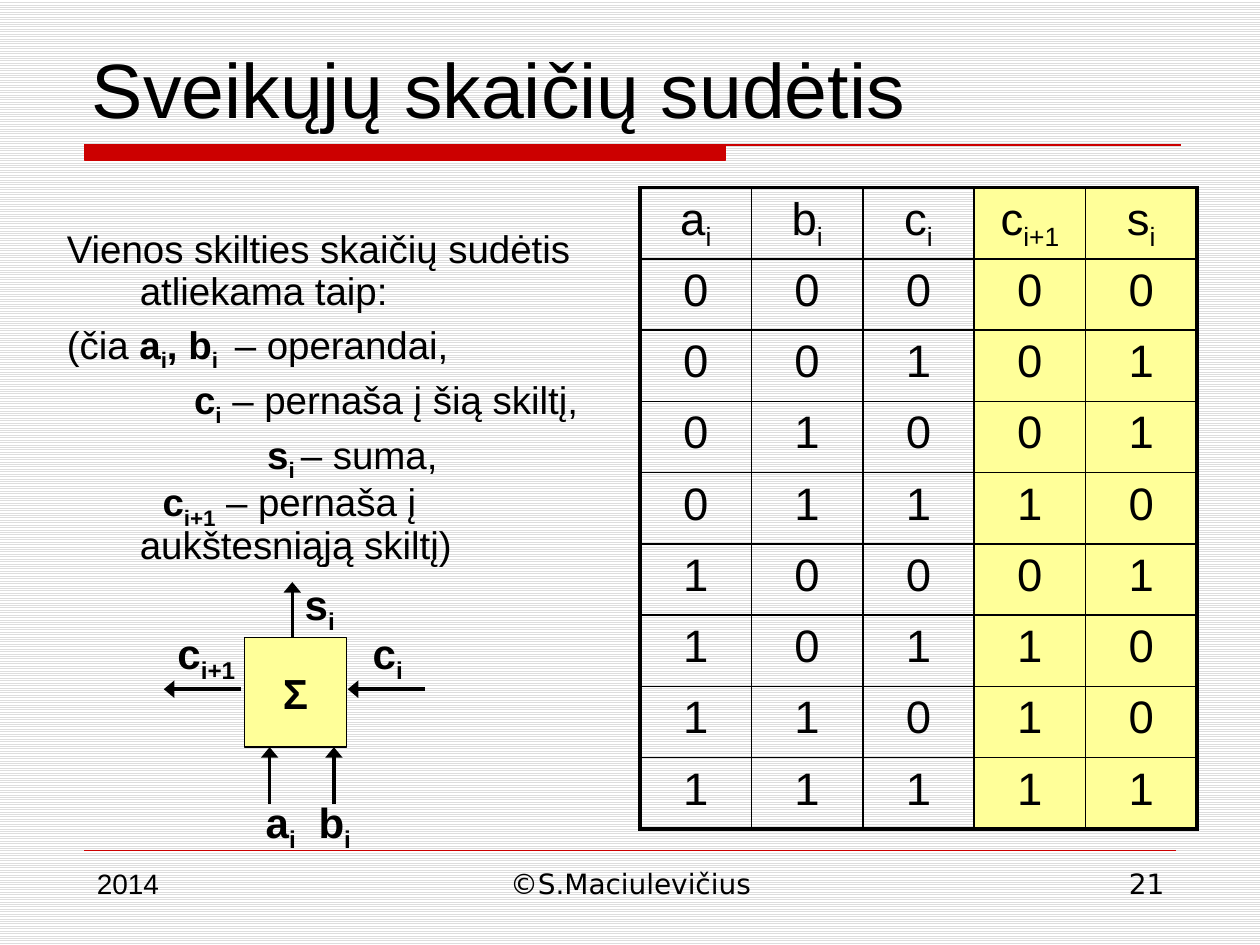
from lxml import etree
from pptx import Presentation
from pptx.dml.color import RGBColor
from pptx.enum.dml import MSO_PATTERN
from pptx.enum.shapes import MSO_CONNECTOR, MSO_SHAPE
from pptx.enum.text import MSO_ANCHOR, MSO_AUTO_SIZE, PP_ALIGN
from pptx.oxml.ns import qn
from pptx.util import Inches, Pt

STRAIGHT = MSO_CONNECTOR.STRAIGHT
RECTANGLE = MSO_SHAPE.RECTANGLE
LIGHT_HORIZONTAL = MSO_PATTERN.LIGHT_HORIZONTAL
NO_AUTOFIT = MSO_AUTO_SIZE.NONE
LEFT, CENTER, RIGHT = PP_ALIGN.LEFT, PP_ALIGN.CENTER, PP_ALIGN.RIGHT
TOP, MIDDLE = MSO_ANCHOR.TOP, MSO_ANCHOR.MIDDLE
BLACK, RED, YELLOW = "000000", "CC0000", "FFFF99"


def color(value):
    return RGBColor.from_string(value)


def write(paragraph, text, size, font="Arial", bold_mark="*", subscript_mark="|"):
    for bold_index, bold_part in enumerate(text.split(bold_mark)):
        for part_index, part in enumerate(bold_part.split(subscript_mark)):
            if not part:
                continue
            run = paragraph.add_run()
            run.text = part
            run.font.name = font
            run.font.size = Pt(size)
            run.font.bold = bold_index % 2 == 1
            run.font.color.rgb = color(BLACK)
            if part_index % 2:
                run.font._element.set("baseline", "-25000")


presentation = Presentation()
presentation.slide_width = Inches(10)
presentation.slide_height = Inches(7.5)
slide = presentation.slides.add_slide(presentation.slide_layouts[1])
shapes = slide.shapes

background = slide.background.fill
background.patterned()
background.pattern = LIGHT_HORIZONTAL
background.fore_color.rgb = color("DDDDDD")
background.back_color.rgb = color("FFFFFF")

builder = shapes.build_freeform(Inches(0.67), Inches(1.15))
bar_corners = [(5.76, 1.15), (5.76, 1.27), (0.67, 1.27)]
builder.add_line_segments([(Inches(x), Inches(y)) for x, y in bar_corners])
builder.move_to(Inches(0.67), Inches(1.15))
builder.add_line_segments([(Inches(9.37), Inches(1.15))], close=False)
title_rule = builder.convert_to_shape()
title_rule.shadow.inherit = False
title_rule.fill.solid()
title_rule.fill.fore_color.rgb = color(RED)
title_rule.line.color.rgb = color(RED)
title_rule.line.width = Pt(0.75)

title = shapes.title
title.left, title.top = Inches(0.63), Inches(0.33)
title.width, title.height = Inches(8.75), Inches(0.82)
title.text_frame.auto_size = NO_AUTOFIT
title.text_frame.vertical_anchor = MIDDLE
title_paragraph = title.text_frame.paragraphs[0]
title_paragraph.alignment = LEFT
title_paragraph.line_spacing = 0.93
write(title_paragraph, "Sveikųjų skaičių sudėtis", 44)

body = slide.placeholders[1]
body.left, body.top = Inches(0.43), Inches(1.78)
body.width, body.height = Inches(4.4), Inches(2.76)
body.text_frame.auto_size = NO_AUTOFIT
body.text_frame.vertical_anchor = TOP
body_lines = [
    ("Vienos skilties skaičių sudėtis atliekama taip:", 0.58, -0.58, 4.4),
    ("(čia *a|i|, b|i |* – operandai,", 0.58, -0.58, 4.4),
    ("*c|i|* – pernaša į šią skiltį,", 1.01, 0, 4.4),
    ("*s|i |*– suma,", 1.59, 0, 4.4),
    ("*c|i+1|* – pernaša į aukštesniąją skiltį)", 0.58, 0.18, 0),
]
for index, (text, margin, indent, space) in enumerate(body_lines):
    frame = body.text_frame
    paragraph = frame.add_paragraph() if index else frame.paragraphs[0]
    paragraph.line_spacing = 0.9
    paragraph.space_before = Pt(space)
    properties = paragraph._p.get_or_add_pPr()
    properties.set("marL", str(Inches(margin)))
    properties.set("indent", str(Inches(indent)))
    etree.SubElement(properties, qn("a:buNone"))
    write(paragraph, text, 22)

truth_rows = [["a|i", "b|i", "c|i", "c|i+1", "s|i"]]
for number in range(8):
    a, b, c = number >> 2, number >> 1 & 1, number & 1
    carry, total = divmod(a + b + c, 2)
    truth_rows.append([str(bit) for bit in (a, b, c, carry, total)])
last_row, last_column = len(truth_rows) - 1, len(truth_rows[0]) - 1
table_frame = shapes.add_table(last_row + 1, last_column + 1, Inches(5.08),
                               Inches(1.49), Inches(4.42), Inches(5.09))
table = table_frame.table
table.first_row = table.horz_banding = False
for row_index, row in enumerate(truth_rows):
    for column_index, text in enumerate(row):
        cell = table.cell(row_index, column_index)
        paragraph = cell.text_frame.paragraphs[0]
        paragraph.alignment = CENTER
        paragraph.space_before = Pt(5.2)
        write(paragraph, text, 26)
        outer_sides = {
            "a:lnL": column_index == 0,
            "a:lnR": column_index == last_column,
            "a:lnT": row_index == 0,
            "a:lnB": row_index == last_row,
        }
        for tag, outer in outer_sides.items():
            border = etree.SubElement(cell._tc.get_or_add_tcPr(), qn(tag),
                                      w=str(Pt(2.25 if outer else 1)))
            border_fill = etree.SubElement(border, qn("a:solidFill"))
            etree.SubElement(border_fill, qn("a:srgbClr"), val=BLACK)
        if column_index >= 3:
            cell.fill.solid()
            cell.fill.fore_color.rgb = color(YELLOW)
        else:
            cell.fill.background()

adder = shapes.add_shape(RECTANGLE, Inches(1.94), Inches(5.06),
                         Inches(0.81), Inches(0.87))
adder.shadow.inherit = False
adder.fill.solid()
adder.fill.fore_color.rgb = color(YELLOW)
adder.line.color.rgb = color(BLACK)
adder.line.width = Pt(1)
adder.text_frame.word_wrap = False
adder.text_frame.vertical_anchor = MIDDLE
adder.text_frame.paragraphs[0].alignment = CENTER
write(adder.text_frame.paragraphs[0], "*Σ*", 24)

lines = [
    (0.67, 6.75, 9.33, 6.75, RED, 0.25, False),
    (2.14, 6.38, 2.14, 5.93, BLACK, 2, True),
    (2.65, 6.38, 2.65, 5.93, BLACK, 2, True),
    (3.37, 5.47, 2.76, 5.47, BLACK, 2, True),
    (1.91, 5.47, 1.3, 5.47, BLACK, 2, True),
    (2.32, 5.06, 2.32, 4.62, BLACK, 2, True),
]
for x1, y1, x2, y2, line_color, width, arrow in lines:
    connector = shapes.add_connector(STRAIGHT, Inches(x1), Inches(y1),
                                     Inches(x2), Inches(y2))
    connector.line.color.rgb = color(line_color)
    connector.line.width = Pt(width)
    if arrow:
        etree.SubElement(connector.line._get_or_add_ln(), qn("a:tailEnd"),
                         type="triangle", w="lg", len="med")
    etree.SubElement(connector._element.spPr, qn("a:effectLst"))

text_boxes = [
    ("*a|i|*", 2.01, 6.27, 0.55, 0.5, 24, "Arial", LEFT),
    ("*b|i|*", 2.43, 6.27, 0.55, 0.5, 24, "Arial", LEFT),
    ("*c|i|*", 2.86, 4.93, 0.55, 0.5, 24, "Arial", LEFT),
    ("*c|i+1|*", 1.31, 4.93, 0.75, 0.5, 24, "Arial", LEFT),
    ("*s|i|*", 2.32, 4.54, 0.55, 0.5, 24, "Arial", LEFT),
    ("2014", 0.67, 6.83, 2.17, 0.52, 16, "Arial", LEFT),
    ("©S.Maciulevičius", 3.42, 6.83, 3.17, 0.52, 16, "DejaVu Sans", CENTER),
    ("21", 7.17, 6.83, 2.17, 0.52, 16, "DejaVu Sans", RIGHT),
]
for text, left, top, width, height, size, font, alignment in text_boxes:
    box = shapes.add_textbox(Inches(left), Inches(top), Inches(width), Inches(height))
    box.text_frame.word_wrap = True
    box.text_frame.paragraphs[0].alignment = alignment
    write(box.text_frame.paragraphs[0], text, size, font)

presentation.save("out.pptx")
